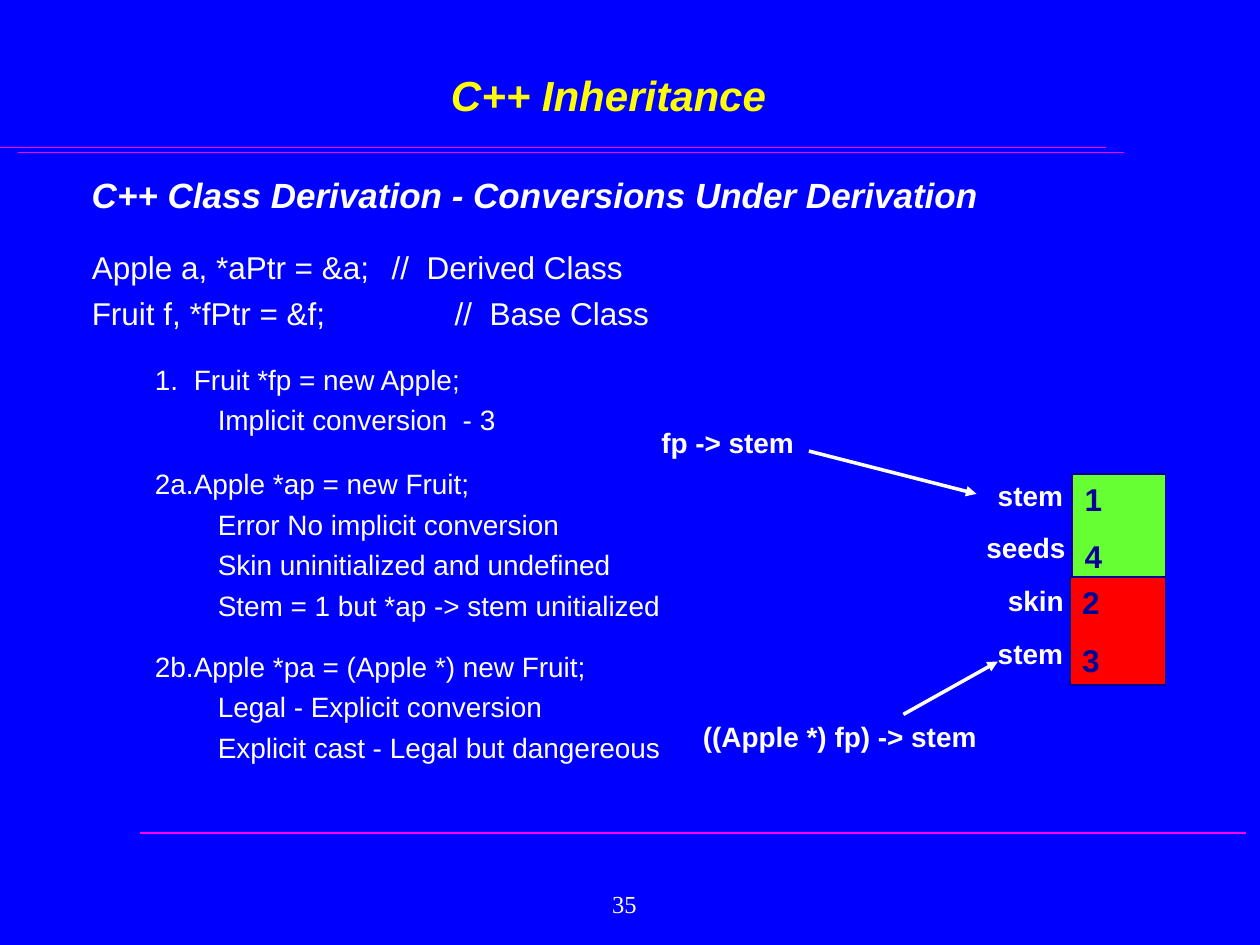
from dataclasses import dataclass

from lxml import etree
from pptx import Presentation
from pptx import util as u
from pptx.dml.color import RGBColor
from pptx.enum import shapes, text
from pptx.oxml import ns

PX = 9144  # 100 px to the inch
WHITE, NAVY, PINK = "FFFFFF", "000099", "FF00FF"
LEFT, MID = text.PP_ALIGN.LEFT, text.PP_ALIGN.CENTER
TOP = text.MSO_ANCHOR.TOP


@dataclass
class Font:
    size: int
    color: str = WHITE
    bold: bool = False
    ital: bool = False
    name: str = "Arial"


@dataclass
class Para:
    words: str
    font: Font
    level: int = 0
    before: float = 0
    lead: float = 1
    align: text.PP_ALIGN = LEFT
    left: int = 0
    hang: int = 0
    tabs: bool = False


@dataclass
class Line:
    x1: int
    y1: int
    x2: int
    y2: int
    color: str
    width: int
    arrow: bool = False


@dataclass
class Tag:
    words: str
    x: int
    y: int
    w: int


@dataclass
class Cell:
    x: int
    y: int
    w: int
    fill: str
    nums: str


def rgb(code: str) -> RGBColor:
    return RGBColor.from_string(code)


def add_tabs(para) -> None:
    """Set left tab stops at every inch."""
    props = para._p.get_or_add_pPr()
    stops = etree.SubElement(props, ns.qn("a:tabLst"))
    for inch in range(8):
        etree.SubElement(stops, ns.qn("a:tab"), pos=str(inch * 100 * PX), algn="l")


def write(frame, paras: list[Para], anchor=TOP, wrap: bool = True) -> None:
    frame.word_wrap = wrap
    frame.vertical_anchor = anchor
    for i, item in enumerate(paras):
        para = frame.add_paragraph() if i else frame.paragraphs[0]
        if item.tabs:
            add_tabs(para)
        para.level = item.level
        para.alignment = item.align
        para.line_spacing = item.lead
        para.space_before = u.Pt(item.before if i else 0)
        props = para._p.get_or_add_pPr()
        props.set("marL", str(item.left * PX))
        props.set("indent", str(-item.hang * PX))
        run = para.add_run()
        run.text = item.words
        font = run.font
        font.name, font.size = item.font.name, u.Pt(item.font.size)
        font.bold, font.italic = item.font.bold, item.font.ital
        font.color.rgb = rgb(item.font.color)


def add_text(slide, x: int, y: int, w: int, h: int, paras: list[Para],
             anchor=TOP, wrap: bool = True) -> None:
    box = slide.shapes.add_textbox(x * PX, y * PX, w * PX, h * PX)
    write(box.text_frame, paras, anchor, wrap)


def add_line(slide, item: Line) -> None:
    line = slide.shapes.add_connector(
        shapes.MSO_CONNECTOR.STRAIGHT,
        item.x1 * PX, item.y1 * PX, item.x2 * PX, item.y2 * PX)
    line.line.color.rgb = rgb(item.color)
    line.line.width = u.Pt(item.width)
    if item.arrow:
        etree.SubElement(line.line._get_or_add_ln(), ns.qn("a:tailEnd"), type="triangle")
    etree.SubElement(line._element.spPr, ns.qn("a:effectLst"))


def add_cell(slide, item: Cell) -> None:
    box = slide.shapes.add_shape(
        shapes.MSO_SHAPE.RECTANGLE, item.x * PX, item.y * PX, item.w * PX, 86 * PX)
    box.shadow.inherit = False
    box.fill.solid()
    box.fill.fore_color.rgb = rgb(item.fill)
    box.line.color.rgb = rgb(NAVY)
    box.line.width = u.Pt(1)
    font = Font(18, NAVY, bold=True)
    write(box.text_frame, [Para(num, font, before=11.2) for num in item.nums])


def decl(words: str) -> Para:
    return Para(words, Font(18), before=4.5, left=38, hang=38, tabs=True)


def case(words: str, lead: float = 1.7) -> Para:
    return Para(words, Font(16), 1, 4, lead, left=81, hang=31, tabs=True)


def note(words: str) -> Para:
    return Para(words, Font(16), 2, 4, left=125, hang=25)


RULES = [
    Line(0, 117, 878, 117, PINK, 1),
    Line(14, 121, 892, 121, PINK, 1),
    Line(111, 661, 989, 661, PINK, 1),
]
ARROWS = [
    Line(642, 358, 775, 392, WHITE, 2, True),
    Line(717, 567, 792, 525, WHITE, 2, True),
]
BODY = [
    decl("Apple a, *aPtr = &a;\t//  Derived Class"),
    decl("Fruit f, *fPtr = &f; \t\t//  Base Class"),
    case("1.\tFruit *fp = new Apple;"),
    note("Implicit conversion  - 3"),
    case("2a.\tApple *ap = new Fruit;"),
    note("Error No implicit conversion"),
    note("Skin uninitialized and undefined"),
    note("Stem = 1 but *ap -> stem unitialized"),
    case("2b.\tApple *pa = (Apple *) new Fruit;", 1.6),
    note("Legal - Explicit conversion"),
    note("Explicit cast - Legal but dangereous"),
]
CELLS = [
    Cell(851, 376, 74, "66FF33", "14"),
    Cell(849, 458, 76, "FF0000", "23"),
]
TAGS = [
    Tag("stem", 782, 375, 72),
    Tag("seeds", 773, 416, 83),
    Tag("skin", 790, 458, 65),
    Tag("stem", 782, 500, 72),
    Tag("fp -> stem", 515, 333, 126),
    Tag("((Apple *) fp) -> stem", 548, 566, 238),
]


def main() -> None:
    deck = Presentation()
    deck.slide_width, deck.slide_height = 1000 * PX, 750 * PX
    slide = deck.slides.add_slide(deck.slide_layouts[6])
    slide.background.fill.solid()
    slide.background.fill.fore_color.rgb = rgb("0000FF")

    for rule in RULES:
        add_line(slide, rule)
    title = Para("C++ Inheritance", Font(24, "FFFF00", True, True), align=MID)
    add_text(slide, 58, 33, 850, 67, [title], text.MSO_ANCHOR.BOTTOM)
    topic = Para("C++ Class Derivation - Conversions Under Derivation",
                 Font(20, bold=True, ital=True), left=38, hang=38)
    add_text(slide, 63, 133, 787, 75, [topic])
    add_text(slide, 63, 192, 528, 442, BODY)

    for cell in CELLS:
        add_cell(slide, cell)
    for tag in TAGS:
        add_text(slide, tag.x, tag.y, tag.w, 37,
                 [Para(tag.words, Font(16, bold=True))], wrap=False)
    for arrow in ARROWS:
        add_line(slide, arrow)
    page = Para("35", Font(14, name="Times New Roman"), align=MID)
    add_text(slide, 458, 692, 75, 50, [page], text.MSO_ANCHOR.MIDDLE)
    deck.save("out.pptx")


if __name__ == "__main__":
    main()
